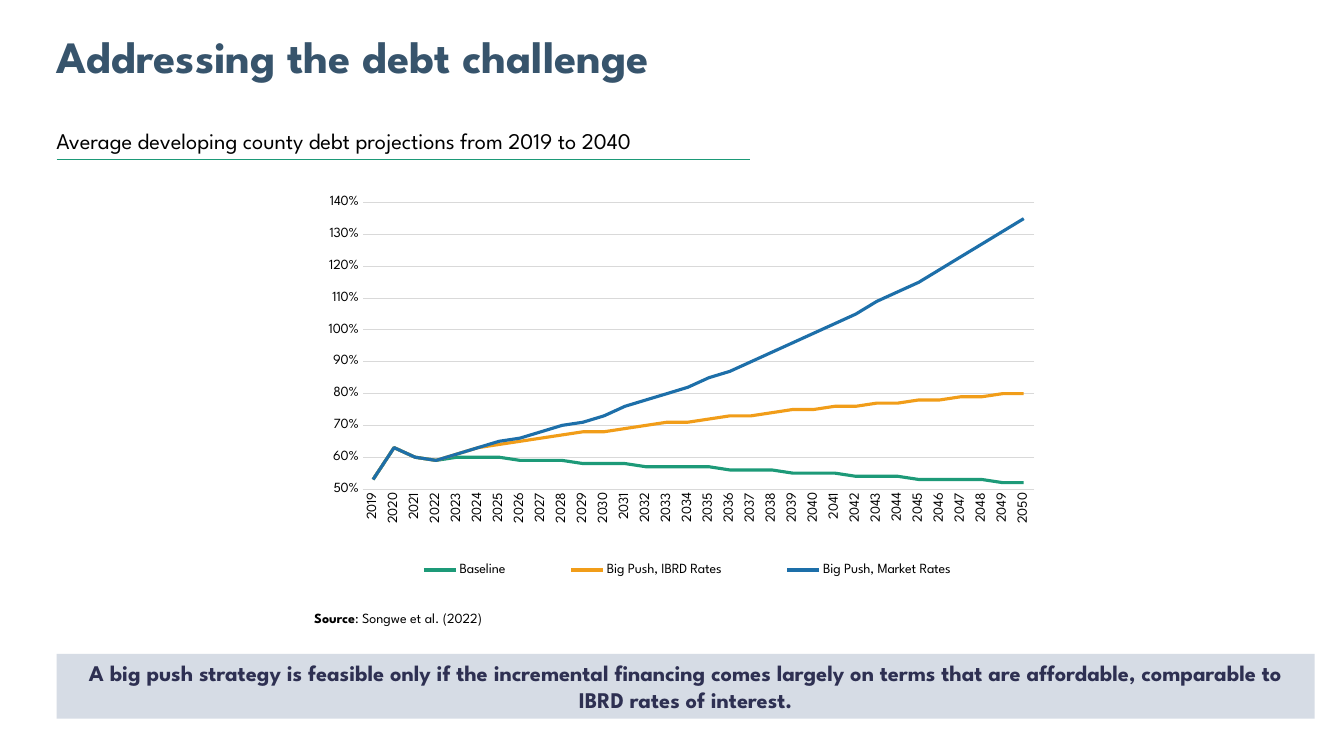
import pptx
import pptx.chart.data
import pptx.dml.color
import pptx.enum.chart
import pptx.enum.shapes
import pptx.enum.text
import pptx.oxml
import pptx.oxml.ns
import pptx.util
from pptx.util import Cm

RGBColor = pptx.dml.color.RGBColor
BLACK = RGBColor(0x00, 0x00, 0x00)
SLATE = RGBColor(0x37, 0x54, 0x6C)
NAVY = RGBColor(0x2E, 0x30, 0x52)
PALE_BLUE = RGBColor(0xD6, 0xDC, 0xE5)
GRID_GREY = RGBColor(0xD9, 0xD9, 0xD9)
GREEN = RGBColor(0x1D, 0x9A, 0x78)
ORANGE = RGBColor(0xF1, 0x9D, 0x19)
BLUE = RGBColor(0x1D, 0x6F, 0xA9)

YEARS = range(2019, 2051)
# Debt in percent, one value a year
DEBT_PATHS = [
    ("Baseline", GREEN,
     [53, 63, 60, 59, 60, 60, 60, 59, 59, 59, 58, 58, 58, 57, 57, 57,
      57, 56, 56, 56, 55, 55, 55, 54, 54, 54, 53, 53, 53, 53, 52, 52]),
    ("Big Push, IBRD Rates", ORANGE,
     [53, 63, 60, 59, 61, 63, 64, 65, 66, 67, 68, 68, 69, 70, 71, 71,
      72, 73, 73, 74, 75, 75, 76, 76, 77, 77, 78, 78, 79, 79, 80, 80]),
    ("Big Push, Market Rates", BLUE,
     [53, 63, 60, 59, 61, 63, 65, 66, 68, 70, 71, 73, 76, 78, 80, 82,
      85, 87, 90, 93, 96, 99, 102, 105, 109, 112, 115, 119, 123, 127, 131, 135]),
]


def write_text(frame, text, font_name, size=10, color=BLACK, bold=False, lead="",
               align=None, line_spacing=None, anchor=pptx.enum.text.MSO_ANCHOR.TOP):
    """Fill a text frame with one paragraph; lead is a bold opening."""
    frame.word_wrap = True
    frame.vertical_anchor = anchor
    paragraph = frame.paragraphs[0]
    paragraph.alignment = align
    paragraph.line_spacing = line_spacing
    for words, weight in ((lead, True), (text, bold)):
        if words:
            run = paragraph.add_run()
            run.text = words
            style_font(run.font, font_name, size, color, weight)


def style_font(font, name, size, color, bold=False):
    font.name = name
    font.size = pptx.util.Pt(size)
    font.bold = bold
    font.color.rgb = color


def place_inside_chart(parent, index, x, y, width, height, inner=False):
    """Set a manual layout, in fractions of the chart."""
    for layout in parent.findall(pptx.oxml.ns.qn("c:layout")):
        parent.remove(layout)
    target = '<c:layoutTarget val="inner"/>' if inner else ""
    parent.insert(index, pptx.oxml.parse_xml(
        f'<c:layout {pptx.oxml.ns.nsdecls("c")}><c:manualLayout>{target}'
        '<c:xMode val="edge"/><c:yMode val="edge"/>'
        f'<c:x val="{x}"/><c:y val="{y}"/><c:w val="{width}"/><c:h val="{height}"/>'
        '</c:manualLayout></c:layout>'))


class SlideBuilder:
    def __init__(self, slide, font_name):
        self.slide = slide
        self.font_name = font_name

    def text(self, text, left, top, width, height, **style):
        box = self.slide.shapes.add_textbox(Cm(left), Cm(top), Cm(width), Cm(height))
        write_text(box.text_frame, text, self.font_name, **style)

    def banner(self, text, left, top, width, height, fill, **style):
        shape = self.slide.shapes.add_shape(
            pptx.enum.shapes.MSO_SHAPE.RECTANGLE, Cm(left), Cm(top), Cm(width), Cm(height))
        shape.shadow.inherit = False
        shape.fill.solid()
        shape.fill.fore_color.rgb = fill
        shape.line.fill.background()
        write_text(shape.text_frame, text, self.font_name, **style)

    def rule(self, left, right, y, color, weight):
        connector = self.slide.shapes.add_connector(
            pptx.enum.shapes.MSO_CONNECTOR.STRAIGHT, Cm(left), Cm(y), Cm(right), Cm(y))
        connector.line.color.rgb = color
        connector.line.width = pptx.util.Pt(weight)
        properties = connector._element.spPr
        properties.append(properties.makeelement(pptx.oxml.ns.qn("a:effectLst"), {}))

    def line_chart(self, years, paths, left, top, width, height):
        data = pptx.chart.data.CategoryChartData(number_format="0%")
        data.categories = [str(year) for year in years]
        for name, _, percents in paths:
            data.add_series(name, [percent / 100 for percent in percents])
        chart = self.slide.shapes.add_chart(
            pptx.enum.chart.XL_CHART_TYPE.LINE,
            Cm(left), Cm(top), Cm(width), Cm(height), data).chart
        chart.has_title = False
        style_font(chart.font, self.font_name, 10, BLACK)

        # Series
        chart.plots[0].vary_by_categories = False
        for series, (_, color, _) in zip(chart.plots[0].series, paths):
            series.smooth = False
            series.format.line.color.rgb = color
            series.format.line.width = pptx.util.Pt(2.25)

        # Axes
        values, categories = chart.value_axis, chart.category_axis
        values.minimum_scale, values.maximum_scale, values.major_unit = 0.5, 1.4, 0.1
        values.has_major_gridlines = True
        values.tick_labels.number_format = "0%"
        values.tick_labels.number_format_is_linked = False
        values.format.line.fill.background()
        for line in (values.major_gridlines.format.line, categories.format.line):
            line.color.rgb = GRID_GREY
            line.width = pptx.util.Pt(0.75)
        for axis in (values, categories):
            axis.major_tick_mark = pptx.enum.chart.XL_TICK_MARK.NONE
            axis.minor_tick_mark = pptx.enum.chart.XL_TICK_MARK.NONE
            style_font(axis.tick_labels.font, self.font_name, 10, BLACK)
        label_body = categories._element.find(".//" + pptx.oxml.ns.qn("a:bodyPr"))
        label_body.set("rot", "-5400000")
        label_body.set("vert", "horz")

        # Legend and plot area
        chart.has_legend = True
        legend = chart.legend
        legend.position = pptx.enum.chart.XL_LEGEND_POSITION.BOTTOM
        legend.include_in_layout = False
        style_font(legend.font, self.font_name, 10, BLACK)
        place_inside_chart(legend._element, 1, 0.1, 0.87, 0.84, 0.07)
        plot_area = chart._chartSpace.chart.plotArea
        place_inside_chart(plot_area, 0, 0.1, 0.056, 0.869, 0.662, inner=True)


def main():
    presentation = pptx.Presentation()
    presentation.slide_width, presentation.slide_height = Cm(33.87), Cm(19.05)
    slide = presentation.slides.add_slide(presentation.slide_layouts[6])
    builder = SlideBuilder(slide, "League Spartan")
    middle = pptx.enum.text.MSO_ANCHOR.MIDDLE

    # Heading
    builder.text("Addressing the debt challenge", 1.17, 0.61, 29.2, 1.73,
                 size=32, color=SLATE, bold=True, line_spacing=0.9, anchor=middle)
    builder.text("Average developing county debt projections from 2019 to 2040",
                 1.17, 3.07, 18.6, 0.94, size=16)
    builder.rule(1.43, 18.9, 4.02, GREEN, 0.5)

    # Chart and its source
    builder.line_chart(YEARS, DEBT_PATHS, 7.19, 4.5, 19.48, 10.9)
    builder.text(": Songwe et al. (2022)", 7.67, 15.24, 5.66, 0.69, lead="Source")

    # Conclusion
    builder.banner("A big push strategy is feasible only if the incremental financing comes "
                   "largely on terms that are affordable, comparable to IBRD rates of interest.",
                   1.43, 16.48, 31.7, 1.63, PALE_BLUE, size=16, color=NAVY, bold=True,
                   align=pptx.enum.text.PP_ALIGN.CENTER, anchor=middle)

    presentation.save("out.pptx")


if __name__ == "__main__":
    main()
